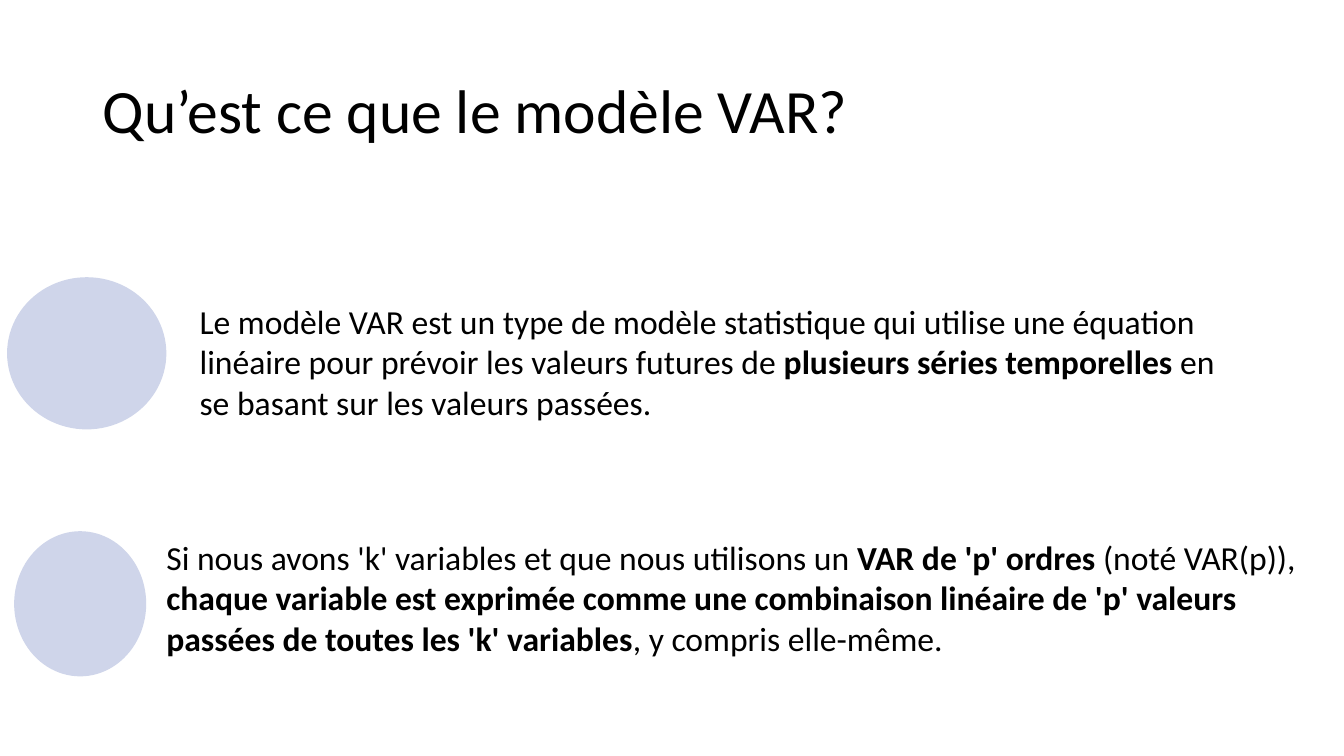
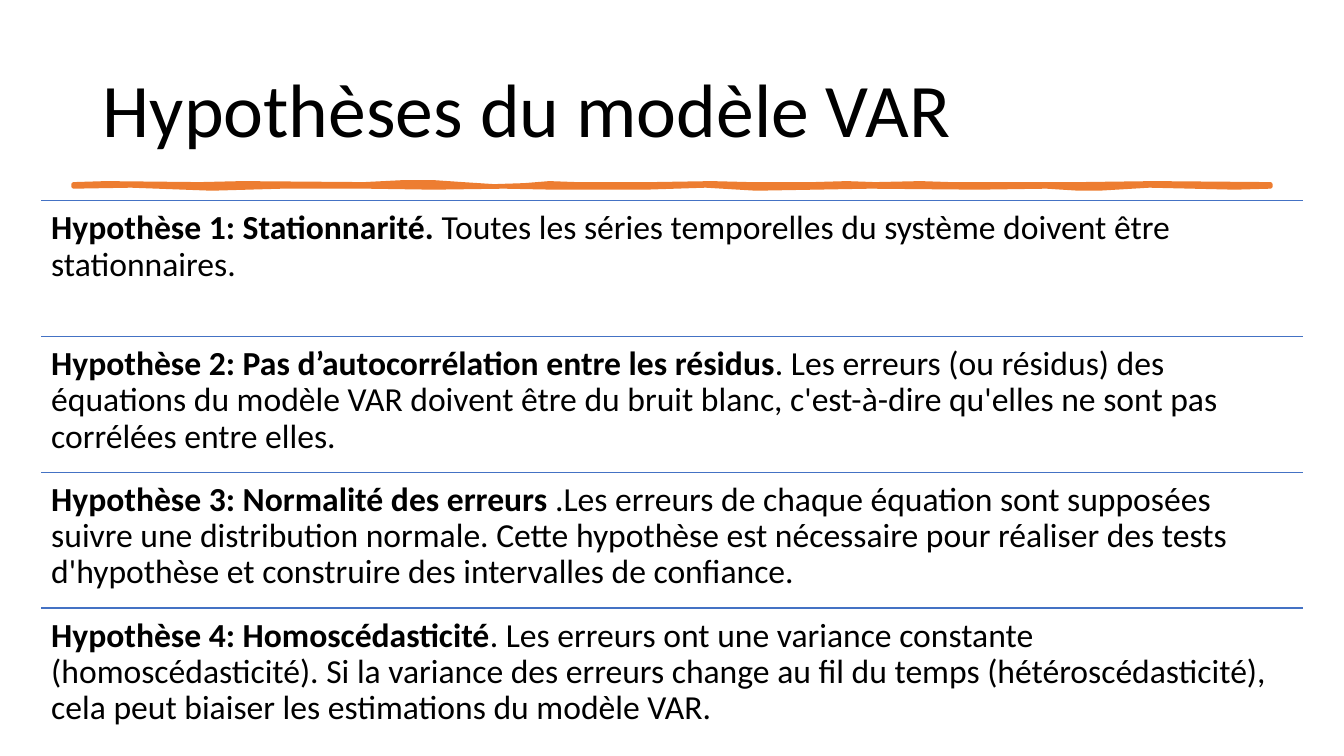
from pptx import Presentation
from pptx.dml.color import RGBColor
from pptx.enum.shapes import MSO_CONNECTOR, MSO_SHAPE
from pptx.enum.text import MSO_ANCHOR, MSO_AUTO_SIZE, PP_ALIGN
from pptx.oxml.ns import qn
from pptx.util import Inches, Pt
from lxml.etree import SubElement

FONT = "Calibri"
COLORS = {"text": "000000", "disc": "CFD5EA", "brush": "ED7D31", "rule": "4472C4"}

POINTS = [
    ((1.98, 2.34, 10.3, 2.49), (0.07, 2.75, 1.58, 1.51),
     "Le modèle VAR est un type de modèle statistique qui utilise une équation "
     "linéaire pour prévoir les valeurs futures de *plusieurs séries temporelles* "
     "en se basant sur les valeurs passées."),
    ((1.65, 4.68, 11.68, 2.49), (0.14, 5.27, 1.31, 1.44),
     "Si nous avons 'k' variables et que nous utilisons un *VAR de 'p' ordres *"
     "(noté VAR(p)), *chaque variable est exprimée comme une combinaison linéaire "
     "de 'p' valeurs passées de toutes les 'k' variables*, y compris elle-même."),
]

RULES = [
    "*Hypothèse 1: Stationnarité. *Toutes les séries temporelles du système "
    "doivent être stationnaires. ",
    "*Hypothèse 2: Pas d’autocorrélation entre les résidus*. Les erreurs (ou "
    "résidus) des équations du modèle VAR doivent être du bruit blanc, "
    "c'est-à-dire qu'elles ne sont pas corrélées entre elles. ",
    "*Hypothèse 3: Normalité des erreurs* .Les erreurs de chaque équation sont "
    "supposées suivre une distribution normale. Cette hypothèse est nécessaire "
    "pour réaliser des tests d'hypothèse et construire des intervalles de confiance.",
    "*Hypothèse 4: Homoscédasticité*. Les erreurs ont une variance constante "
    "(homoscédasticité). Si la variance des erreurs change au fil du temps "
    "(hétéroscédasticité), cela peut biaiser les estimations du modèle VAR.",
]

BRUSH = [
    (0.73, 1.83), (1.05, 1.82), (1.98, 1.83), (2.4, 1.82), (3.61, 1.83),
    (4.0, 1.81), (4.3, 1.81), (4.59, 1.83), (4.9, 1.85), (5.2, 1.84),
    (5.45, 1.82), (5.72, 1.83), (6.46, 1.83), (7.06, 1.82), (7.44, 1.83),
    (8.06, 1.83), (8.4, 1.82), (8.68, 1.83), (9.13, 1.82), (9.43, 1.83),
    (10.29, 1.83), (10.7, 1.83), (11.45, 1.82), (12.6, 1.83), (12.6, 1.85),
    (12.25, 1.86), (11.4, 1.84), (10.9, 1.87), (10.7, 1.87), (10.38, 1.85),
    (9.7, 1.86), (8.63, 1.85), (7.5, 1.87), (7.0, 1.84), (6.4, 1.86),
    (5.5, 1.86), (5.0, 1.85), (4.3, 1.86), (3.64, 1.85), (2.8, 1.85),
    (2.1, 1.87), (1.3, 1.84), (0.73, 1.85),
]


def color(key):
    return RGBColor.from_string(COLORS[key])


def style(para, size, space=1.0):
    para.font.name = FONT
    para.font.size = Pt(size)
    para.font.color.rgb = color("text")
    para.line_spacing = space
    para.alignment = PP_ALIGN.LEFT


def add_page(deck, text, size):
    page = deck.slides.add_slide(deck.slide_layouts[5])
    title = page.shapes.title
    title.left, title.top = Inches(0.92), Inches(0.4)
    title.width, title.height = Inches(11.5), Inches(1.45)
    frame = title.text_frame
    frame.text = text
    frame.auto_size = MSO_AUTO_SIZE.NONE
    frame.vertical_anchor = MSO_ANCHOR.MIDDLE
    style(frame.paragraphs[0], size, 0.9)
    return page


def add_form(page, points):
    start, *rest = [(Inches(x), Inches(y)) for x, y in points]
    pen = page.shapes.build_freeform(*start)
    pen.add_line_segments(rest, close=True)
    form = pen.convert_to_shape()
    form.shadow.inherit = False
    return form


def add_panel(page, area):
    left, top, width, height = area
    right, low = left + width, top + height
    panel = add_form(page, [(left, top), (right, top), (right, low), (left, low)])
    panel.fill.background()
    panel.line.fill.background()
    return panel


def put_text(shape, text, inset, anchor, space):
    frame = shape.text_frame
    frame.word_wrap = True
    frame.vertical_anchor = anchor
    frame.margin_left = frame.margin_right = Inches(inset)
    frame.margin_top = frame.margin_bottom = Inches(inset)
    para = frame.paragraphs[0]
    style(para, 24, space)
    for index, part in enumerate(text.split("*")):
        if part:
            run = para.add_run()
            run.text = part
            run.font.bold = index % 2 == 1


def add_disc(page, area):
    disc = page.shapes.add_shape(MSO_SHAPE.OVAL, *map(Inches, area))
    disc.shadow.inherit = False
    disc.fill.solid()
    disc.fill.fore_color.rgb = color("disc")
    disc.line.fill.background()


def add_brush(page):
    brush = add_form(page, BRUSH)
    brush.fill.solid()
    brush.fill.fore_color.rgb = color("brush")
    brush.line.color.rgb = color("brush")
    brush.line.width = Pt(3.25)


def add_rule(page, left, top, width):
    rule = page.shapes.add_connector(
        MSO_CONNECTOR.STRAIGHT, Inches(left), Inches(top),
        Inches(left + width), Inches(top))
    rule.line.color.rgb = color("rule")
    rule.line.width = Pt(1)
    SubElement(rule._element.spPr, qn("a:effectLst"))


def main():
    deck = Presentation()
    deck.slide_width, deck.slide_height = Inches(13.33), Inches(7.5)

    page = add_page(deck, "Qu’est ce que le modèle VAR?", 44)
    for area, disc, text in POINTS:
        add_disc(page, disc)
        put_text(add_panel(page, area), text, 0, MSO_ANCHOR.MIDDLE, 1.0)

    page = add_page(deck, "Hypothèses du modèle VAR", 54)
    add_brush(page)
    left, top, width, end = 0.41, 1.99, 12.51, 7.38
    step = (end - top) / len(RULES)
    for index, text in enumerate(RULES):
        y = top + index * step
        add_rule(page, left, y, width)
        area = map(Inches, (left, y, width, step))
        box = page.shapes.add_textbox(*area)
        put_text(box, text, 0.1, MSO_ANCHOR.TOP, 0.9)

    deck.save("out.pptx")


main()
